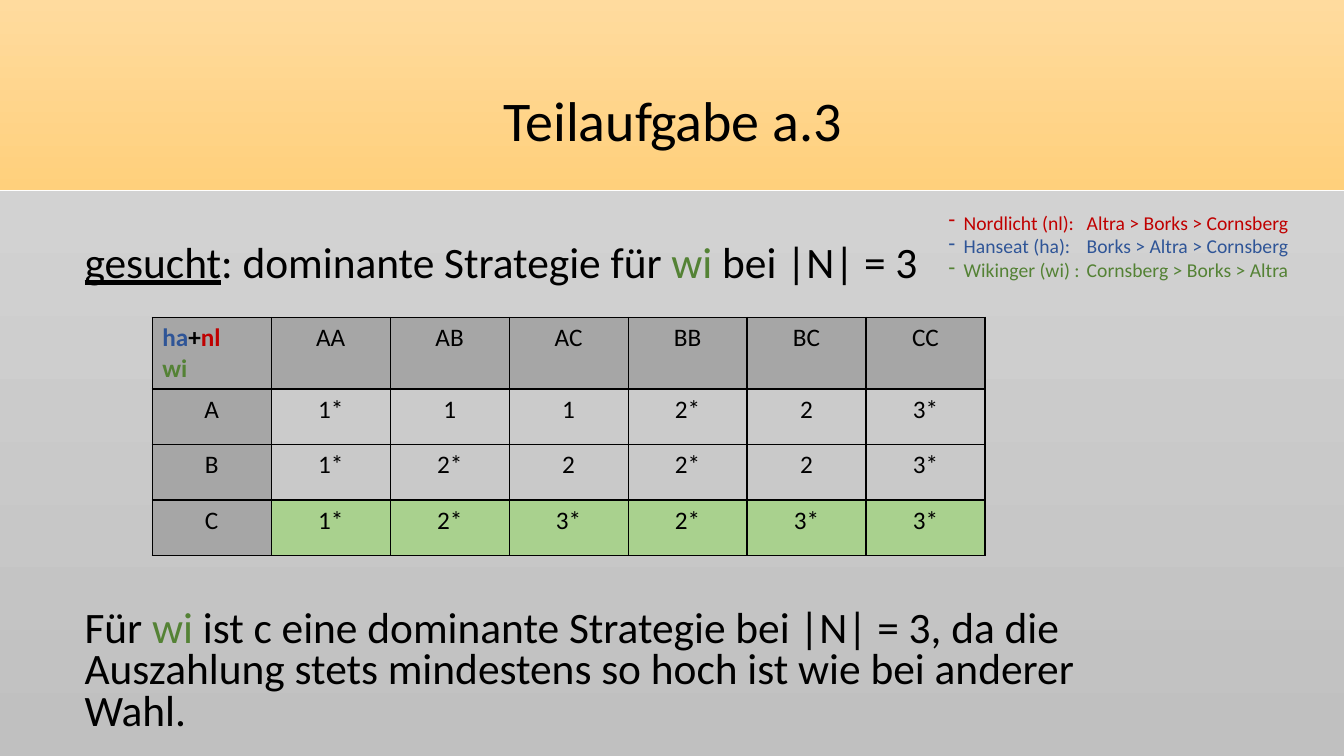
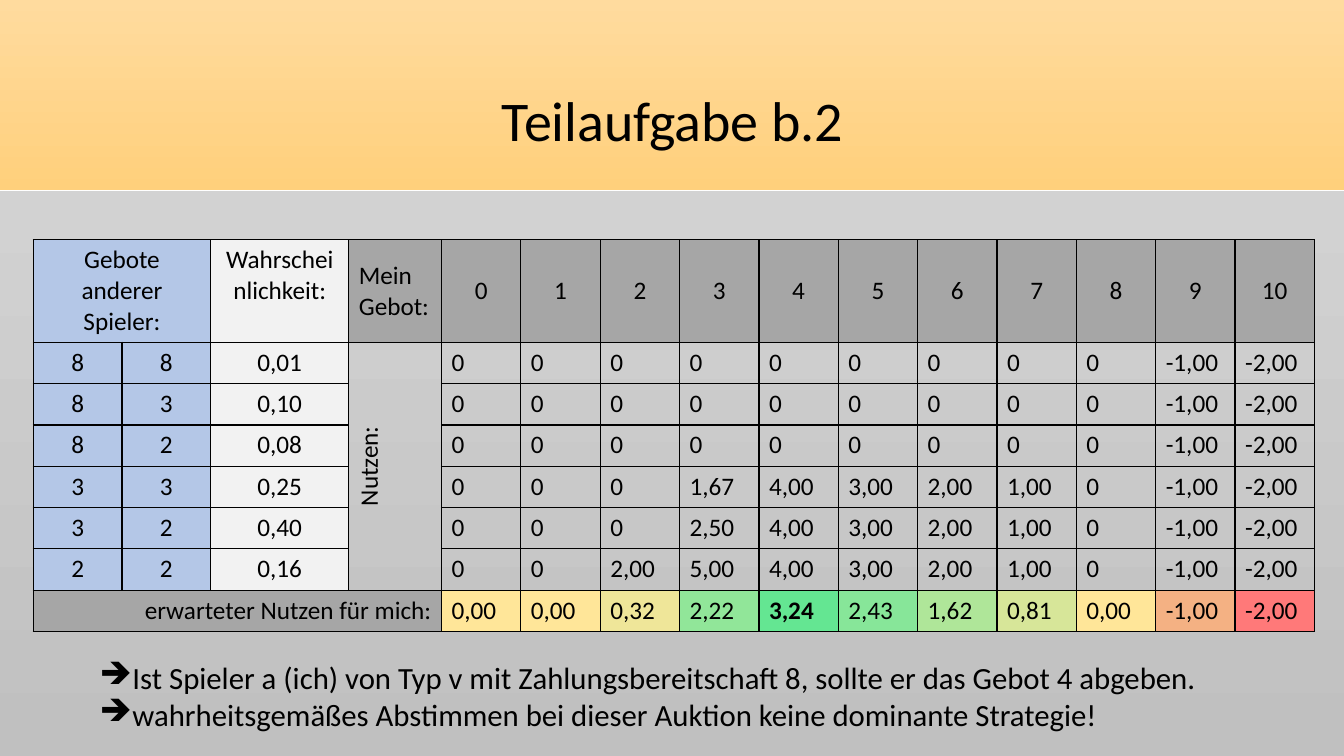
from lxml import etree
from pptx import Presentation
from pptx.dml.color import RGBColor
from pptx.enum.shapes import MSO_SHAPE
from pptx.enum.text import MSO_ANCHOR, PP_ALIGN
from pptx.oxml.ns import qn
from pptx.util import Inches, Pt

LEFT, CENTER, RIGHT = PP_ALIGN.LEFT, PP_ALIGN.CENTER, PP_ALIGN.RIGHT
TOP, MIDDLE, BOTTOM = MSO_ANCHOR.TOP, MSO_ANCHOR.MIDDLE, MSO_ANCHOR.BOTTOM
RECTANGLE = MSO_SHAPE.RECTANGLE

FONT = "Calibri"
BLACK = RGBColor(0x00, 0x00, 0x00)
RED = RGBColor(0xC0, 0x00, 0x00)
BLUE = RGBColor(0x2F, 0x55, 0x97)
GREEN = RGBColor(0x54, 0x82, 0x35)
GRAY = RGBColor(0xA6, 0xA6, 0xA6)
PALE_GRAY = RGBColor(0xF2, 0xF2, 0xF2)
PALE_BLUE = RGBColor(0xB4, 0xC7, 0xE7)
PALE_GREEN = RGBColor(0xA9, 0xD1, 0x8E)

SLIDE_W, SLIDE_H, HEADER_H = 13.33, 7.5, 1.89
BANDS = [
    (HEADER_H, SLIDE_H - HEADER_H, RGBColor(0xD2, 0xD2, 0xD2), RGBColor(0xC0, 0xC0, 0xC0)),
    (0, HEADER_H, RGBColor(0xFF, 0xDB, 0x9E), RGBColor(0xFF, 0xD0, 0x7C)),
]

WI = ("wi", {"color": GREEN})
QUESTION = [("gesucht", {"underline": True}), ": dominante Strategie für ", WI, " bei |N| = 3"]
ANSWER = ["Für ", WI, " ist c eine dominante Strategie bei |N| = 3, da die Auszahlung "
          "stets mindestens so hoch ist wie bei anderer Wahl."]
PREFERENCES = [
    ("Nordlicht (nl):\tAltra > Borks > Cornsberg", RED),
    ("Hanseat (ha):\tBorks > Altra > Cornsberg", BLUE),
    ("Wikinger (wi) :\tCornsberg > Borks > Altra", GREEN),
]
PLAYERS = [
    [("ha", {"color": BLUE}), "+", ("nl", {"color": RED})],
    [WI],
]
OPPONENT_VOTES = ["AA", "AB", "AC", "BB", "BC", "CC"]
PAYOFFS = [
    ("A", ["1*", "1", "1", "2*", "2", "3*"]),
    ("B", ["1*", "2*", "2", "2*", "2", "3*"]),
    ("C", ["1*", "2*", "3*", "2*", "3*", "3*"]),
]
DOMINANT = "C"

BIDS = [str(bid) for bid in range(11)]
LOSSES = ["0", "-1,00", "-2,00"]
NEVER_WINS = ["0"] * 8
WINS_FROM_FOUR = ["4,00", "3,00", "2,00", "1,00"]
UTILITIES = [
    ("8", "8", "0,01", NEVER_WINS),
    ("8", "3", "0,10", NEVER_WINS),
    ("8", "2", "0,08", NEVER_WINS),
    ("3", "3", "0,25", ["0", "0", "0", "1,67"] + WINS_FROM_FOUR),
    ("3", "2", "0,40", ["0", "0", "0", "2,50"] + WINS_FROM_FOUR),
    ("2", "2", "0,16", ["0", "0", "2,00", "5,00"] + WINS_FROM_FOUR),
]
EXPECTED = [
    ("0,00", "FFE699"), ("0,00", "FFE699"), ("0,32", "EFE699"), ("2,22", "91E699"),
    ("3,24", "64E692"), ("2,43", "87E699"), ("1,62", "AFE699"), ("0,81", "D7E699"),
    ("0,00", "FFE699"), ("-1,00", "F4B183"), ("-2,00", "FF7979"),
]
BEST_BID = 4
CONCLUSIONS = [
    "Ist Spieler a (ich) von Typ v mit Zahlungsbereitschaft 8, sollte er das Gebot 4 abgeben.",
    "wahrheitsgemäßes Abstimmen bei dieser Auktion keine dominante Strategie!",
]


def write(frame, paragraphs, size=18, color=BLACK, bold=False, align=LEFT,
          spacing=None, bullet=None, indent=0, tab=None):
    for index, parts in enumerate(paragraphs):
        paragraph = frame.paragraphs[0] if index == 0 else frame.add_paragraph()
        paragraph.alignment = align
        if spacing:
            paragraph.line_spacing = spacing
        for part in parts:
            text, own = (part, {}) if isinstance(part, str) else part
            run = paragraph.add_run()
            run.text = text
            run.font.name = FONT
            run.font.size = Pt(size)
            run.font.bold = bold
            run.font.underline = own.get("underline", False)
            run.font.color.rgb = own.get("color", color)
        properties = paragraph._p.get_or_add_pPr()
        if bullet:
            properties.set("marL", str(Inches(indent)))
            properties.set("indent", str(-Inches(indent)))
            etree.SubElement(properties, qn("a:buChar"), char=bullet)
        if tab:
            stops = etree.SubElement(properties, qn("a:tabLst"))
            etree.SubElement(stops, qn("a:tab"), pos=str(Inches(tab)), algn="l")


def add_text(slide, left, top, width, height, paragraphs, **style):
    frame = slide.shapes.add_textbox(
        Inches(left), Inches(top), Inches(width), Inches(height)).text_frame
    frame.word_wrap = True
    write(frame, paragraphs, **style)


def add_titled_slide(deck, heading):
    slide = deck.slides.add_slide(deck.slide_layouts[5])
    for top, height, upper, lower in BANDS:
        band = slide.shapes.add_shape(
            RECTANGLE, 0, Inches(top), Inches(SLIDE_W), Inches(height))
        band.shadow.inherit = False
        band.line.fill.background()
        band.fill.gradient()
        band.fill.gradient_angle = 270
        for stop, color in zip(band.fill.gradient_stops, (upper, lower)):
            stop.color.rgb = color
    title = slide.shapes.title
    slide.shapes._spTree.append(title._element)
    title.left, title.top = Inches(1.67), Inches(0.8)
    title.width, title.height = Inches(10), Inches(0.77)
    title.text_frame.vertical_anchor = BOTTOM
    write(title.text_frame, [[heading]], size=40, align=CENTER, spacing=0.9)
    return slide


def add_grid(slide, left, top, widths, heights):
    table = slide.shapes.add_table(
        len(heights), len(widths), Inches(left), Inches(top),
        Inches(sum(widths)), Inches(sum(heights))).table
    table.first_row = table.horz_banding = False
    for column, width in zip(table.columns, widths):
        column.width = Inches(width)
    for row, height in zip(table.rows, heights):
        row.height = Inches(height)
    for cell in table.iter_cells():
        properties = cell._tc.get_or_add_tcPr()
        for side in ("a:lnL", "a:lnR", "a:lnT", "a:lnB"):
            line = etree.SubElement(properties, qn(side), w=str(Pt(1)))
            paint = etree.SubElement(line, qn("a:solidFill"))
            etree.SubElement(paint, qn("a:srgbClr"), val=str(BLACK))
        cell.fill.background()
    return table


def fill_cell(cell, paragraphs, fill=None, anchor=TOP, **style):
    if isinstance(paragraphs, str):
        paragraphs = [[paragraphs]]
    if fill is not None:
        cell.fill.solid()
        cell.fill.fore_color.rgb = fill
    cell.vertical_anchor = anchor
    write(cell.text_frame, paragraphs, **style)


def build_strategy_slide(deck):
    slide = add_titled_slide(deck, "Teilaufgabe a.3")
    for top, height, statement in ((2.38, 0.6, QUESTION), (6, 1.1, ANSWER)):
        add_text(slide, 0.74, top, 11.11, height, [statement], size=31, spacing=0.8)

    table = add_grid(slide, 1.51, 3.15, [1.18] * 7, [0.71] + [0.55] * 3)
    fill_cell(table.cell(0, 0), PLAYERS, GRAY, MIDDLE, bold=True)
    for column, votes in enumerate(OPPONENT_VOTES, 1):
        fill_cell(table.cell(0, column), votes, GRAY, align=CENTER)
    for row, (vote, payoffs) in enumerate(PAYOFFS, 1):
        fill_cell(table.cell(row, 0), vote, GRAY, align=CENTER)
        fill = PALE_GREEN if vote == DOMINANT else None
        for column, payoff in enumerate(payoffs, 1):
            fill_cell(table.cell(row, column), payoff, fill, align=CENTER)

    ranking = [[(text, {"color": color})] for text, color in PREFERENCES]
    add_text(slide, 9.31, 2.04, 3.95, 0.85, ranking,
             size=14, bullet="-", indent=0.15, tab=1.37)


def build_auction_slide(deck):
    slide = add_titled_slide(deck, "Teilaufgabe b.2")
    lead_widths = [0.88, 0.88, 1.37, 0.92]
    first_bid = len(lead_widths)
    bid_width = (12.71 - sum(lead_widths)) / len(BIDS)
    last_row = len(UTILITIES) + 1
    table = add_grid(slide, 0.33, 2.38, lead_widths + [bid_width] * len(BIDS),
                     [1.01] + [0.41] * last_row)
    table.cell(0, 0).merge(table.cell(0, 1))
    table.cell(1, 3).merge(table.cell(last_row - 1, 3))
    table.cell(last_row, 0).merge(table.cell(last_row, 3))

    fill_cell(table.cell(0, 0), "Gebote anderer Spieler:", PALE_BLUE, align=CENTER)
    fill_cell(table.cell(0, 2), "Wahrscheinlichkeit:", PALE_GRAY, align=CENTER)
    fill_cell(table.cell(0, 3), "Mein Gebot:", GRAY, MIDDLE)
    for column, bid in enumerate(BIDS, first_bid):
        fill_cell(table.cell(0, column), bid, GRAY, MIDDLE, align=CENTER)

    utility_label = table.cell(1, 3)
    fill_cell(utility_label, "Nutzen:", anchor=MIDDLE, align=CENTER)
    utility_label._tc.get_or_add_tcPr().set("vert", "vert270")

    for row, (bid_one, bid_two, probability, gains) in enumerate(UTILITIES, 1):
        lead = ((bid_one, PALE_BLUE), (bid_two, PALE_BLUE), (probability, PALE_GRAY))
        for column, (value, fill) in enumerate(lead):
            fill_cell(table.cell(row, column), value, fill, align=CENTER)
        for column, utility in enumerate(gains + LOSSES, first_bid):
            fill_cell(table.cell(row, column), utility)

    fill_cell(table.cell(last_row, 0), "erwarteter Nutzen für mich:", GRAY, align=RIGHT)
    for bid, (utility, heat) in enumerate(EXPECTED):
        fill_cell(table.cell(last_row, first_bid + bid), utility,
                  RGBColor.from_string(heat), bold=bid == BEST_BID)

    add_text(slide, 0.89, 6.49, 11.61, 0.84, [[text] for text in CONCLUSIONS],
             size=22, bullet="➔", indent=0.31)


def main():
    deck = Presentation()
    deck.slide_width, deck.slide_height = Inches(SLIDE_W), Inches(SLIDE_H)
    build_strategy_slide(deck)
    build_auction_slide(deck)
    deck.save("out.pptx")


if __name__ == "__main__":
    main()
